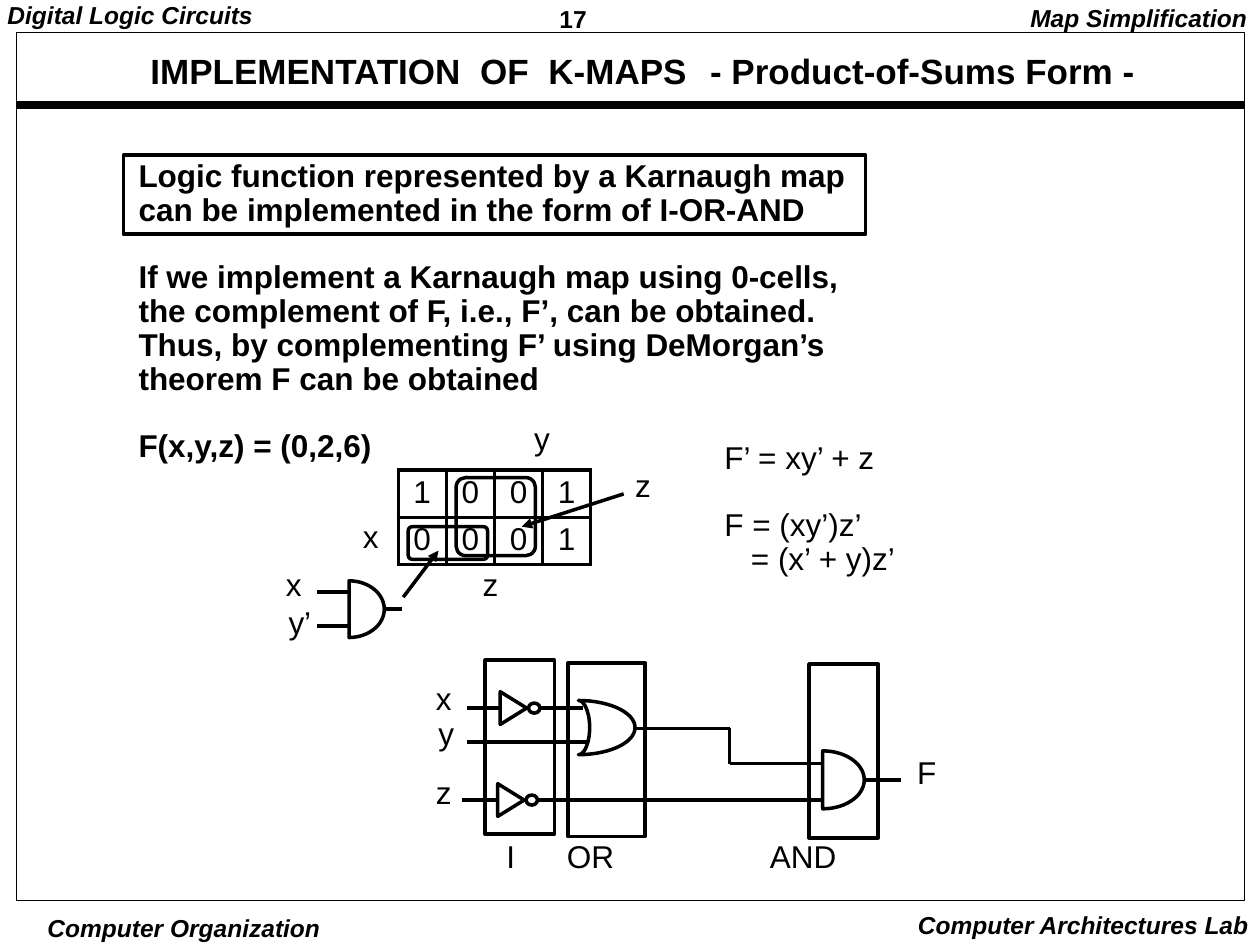
import math
from itertools import pairwise

from lxml import etree
from pptx import Presentation
from pptx import util as u
from pptx.dml.color import RGBColor
from pptx.enum import shapes, text
from pptx.oxml import ns

BLACK = RGBColor(0, 0, 0)
FONT = "Arial"
CELL = u.Inches(0.1)  # the page is a grid of 100 columns by 75 rows
LEFT, CENTER, RIGHT = text.PP_ALIGN.LEFT, text.PP_ALIGN.CENTER, text.PP_ALIGN.RIGHT


def grid(*values):
    return [u.Emu(round(value * CELL)) for value in values]


def add_xml(parent, tag, **attributes):
    return etree.SubElement(parent, ns.qn(tag), attributes)


# Text helpers
def set_font(font, size, bold=False, italic=False):
    font.name, font.size = FONT, u.Pt(size)
    font.bold, font.italic = bold, italic
    font.color.rgb = BLACK


def clear_frame(frame):
    frame.word_wrap = True
    frame.auto_size = text.MSO_AUTO_SIZE.NONE
    frame.vertical_anchor = text.MSO_ANCHOR.TOP
    frame.margin_left = frame.margin_right = frame.margin_top = frame.margin_bottom = 0


def write(page, box, words, size=18, bold=False, italic=False, align=LEFT, spacing=0.9):
    frame = page.shapes.add_textbox(*grid(*box)).text_frame
    clear_frame(frame)
    frame.text = words
    for para in frame.paragraphs:
        para.alignment, para.line_spacing = align, spacing
        para.space_before = u.Pt(0)
        for span in para.runs:
            set_font(span.font, size, bold, italic)
    return frame.paragraphs


def label(page, x, y, words):
    write(page, (x, y, 3 * len(words), 2.7), words)


# Drawing helpers
def outline(shape, width=2):
    shape.shadow.inherit = False
    shape.fill.background()
    shape.line.color.rgb, shape.line.width = BLACK, u.Pt(width)
    return shape


def draw(page, kind, box, width=2):
    return outline(page.shapes.add_shape(kind, *grid(*box)), width)


def wire(page, *points, width=2, arrow=False):
    for start, end in pairwise(points):
        line = page.shapes.add_connector(shapes.MSO_CONNECTOR.STRAIGHT, *grid(*start, *end))
        line.line.color.rgb, line.line.width = BLACK, u.Pt(width)
        if arrow:
            add_xml(line.line._get_or_add_ln(), "a:tailEnd", type="triangle")
        add_xml(line._element.spPr, "a:effectLst")


def arc(x, y, across, down, start=-90, end=90, steps=30):
    angles = [math.radians(start + (end - start) * i / steps) for i in range(steps + 1)]
    return [grid(x + across * math.cos(a), y + down * math.sin(a)) for a in angles]


def gate(page, points):
    builder = page.shapes.build_freeform(*points[0])
    builder.add_line_segments(points[1:], close=True)
    outline(builder.convert_to_shape())


def and_gate(page, box):
    x, y, width, height = box
    gate(page, arc(x, y + height / 2, width, height / 2))


def or_gate(page, box):
    x, y, width, height = box
    middle, half = y + height / 2, height / 2
    gate(page, arc(x, middle, width, half) + arc(x, middle, width / 5, half, 90, -90))


def inverter(page, x, y):
    group = page.shapes.add_group_shape()
    triangle = draw(group, shapes.MSO_SHAPE.ISOSCELES_TRIANGLE, (x - 0.25, y - 1.05, 2.6, 2.1))
    triangle.rotation = 90
    draw(group, shapes.MSO_SHAPE.OVAL, (x + 2.25, y - 0.4, 0.9, 0.8))


# Regions of the slide
def page_frame(page, box):
    x, y, width, height = box
    draw(page, shapes.MSO_SHAPE.RECTANGLE, box, 0.5)
    wire(page, (x, y + 5.7), (x + width, y + 5.7), width=4.5)
    marks = (
        ((0.6, 0.3, 22, 2.4), "Digital Logic Circuits", True, LEFT, 0.9),
        ((44.4, 0.3, 5, 2.4), "17", False, LEFT, 1),
        ((79, 0.5, 20, 2.4), "Map Simplification", True, RIGHT, 0.9),
        ((3.6, 72.5, 22, 2.4), "Computer Organization", True, CENTER, 1),
        ((69, 72.2, 30.1, 2.4), "Computer Architectures Lab", True, RIGHT, 1),
    )
    for place, words, italic, align, spacing in marks:
        write(page, place, words, 14, True, italic, align, spacing)


def heading(page, box):
    title = page.shapes.title
    title.left, title.top, title.width, title.height = grid(*box)
    clear_frame(title.text_frame)
    para = title.text_frame.paragraphs[0]
    para.alignment, para.line_spacing = CENTER, 0.9
    # Spaces carry extra tracking, in hundredths of a point
    pieces = (("IMPLEMENTATION", 0), (" ", 556), ("OF", 0), (" ", 556), ("K-MAPS", 0),
              (" ", 780), ("- Product-of-Sums Form -", 0))
    for words, tracking in pieces:
        span = para.add_run()
        span.text = words
        set_font(span.font, 20, True)
        if tracking:
            span.font._element.set("spc", str(tracking))


def explanation(page, box):
    x, y, width, height = box
    lines = (
        "Logic function represented by a Karnaugh map",
        "can be implemented in the form of I-OR-AND",
        "If we implement a Karnaugh map using 0-cells,",
        "the complement of F, i.e., F’, can be obtained.",
        "Thus, by complementing F’ using DeMorgan’s",
        "theorem F can be obtained",
        "F(x,y,z) = (0,2,6)",
    )
    paras = write(page, (x + 1.2, y + 0.4, width, height), "\n".join(lines), bold=True)
    for first in (2, 6):
        paras[first].space_before = u.Pt(19)
    draw(page, shapes.MSO_SHAPE.RECTANGLE, (x, y, 58.9, 6.3))


def equations(page, box):
    paras = write(page, box, "F’ = xy’ + z\nF = (xy’)z’\n= (x’ + y)z’")
    paras[1].space_before = u.Pt(19)
    paras[2]._p.get_or_add_pPr().set("marL", str(u.Inches(0.21)))


def karnaugh_map(page, box):
    x, y, width, height = box
    table = page.shapes.add_table(2, 4, *grid(*box)).table
    table.first_row = table.horz_banding = False
    for cell, value in zip(table.iter_cells(), "10010001"):
        cell.margin_left = cell.margin_right = cell.margin_top = cell.margin_bottom = 0
        cell.vertical_anchor = text.MSO_ANCHOR.MIDDLE
        cell.text = value
        para = cell.text_frame.paragraphs[0]
        para.alignment, para.line_spacing = CENTER, 0.9
        set_font(para.runs[0].font, 18)
        for side in "LRTB":
            border = add_xml(cell._tc.get_or_add_tcPr(), f"a:ln{side}", w=str(u.Pt(2)))
            fill = add_xml(border, "a:solidFill")
            add_xml(fill, "a:srgbClr", val=str(BLACK))
        cell.fill.background()

    # Loops around the groups of zeros
    for loop in ((4.6, 0.6, 6.3, 6.2), (0.8, 4.5, 6.3, 2.6)):
        place = (x + loop[0], y + loop[1], *loop[2:])
        draw(page, shapes.MSO_SHAPE.ROUNDED_RECTANGLE, place).adjustments[0] = 0.125

    for dx, dy, words in ((-2.8, 4.1, "x"), (10.8, -3.7, "y"), (6.7, 7.9, "z"), (18.8, 0, "z")):
        label(page, x + dx, y + dy, words)
    wire(page, (x + 17.9, y + 1.9), (x + 9.8, y + 4.5), arrow=True)
    wire(page, (x + 0.4, y + 10.1), (x + 3.2, y + 6.4), arrow=True)


def product_term(page, box):
    x, y, width, height = box
    and_gate(page, box)
    for dy, label_x, label_y, words in ((0.9, -5, -0.9, "x"), (3.6, -4.8, 2.1, "y’")):
        wire(page, (x - 2.5, y + dy), (x + 0.1, y + dy))
        label(page, x + label_x, y + label_y, words)
    wire(page, (x + width, y + height / 2), (x + width + 1.4, y + height / 2))


def circuit(page, box):
    x, y, width, height = box
    x_row, y_row, z_row = y + 3.8, y + 6.5, y + 11.1
    # Stage frames with their names beneath
    stages = ((1.8, 0, 5.5, 3.5, "I"), (8.4, 0.2, 6.1, 8.3, "OR"), (27.5, 0.3, 5.5, 24.4, "AND"))
    for dx, dy, wide, name_x, name in stages:
        draw(page, shapes.MSO_SHAPE.RECTANGLE, (x + dx, y + dy, wide, height))
        label(page, x + name_x, y + 14.4, name)
    # Gates
    inverter(page, x + 3, x_row)
    inverter(page, x + 2.8, z_row)
    or_gate(page, (x + 9.2, y + 3.2, 4.5, 4.3))
    and_gate(page, (x + 28.6, y + 7.2, 3.3, 4.6))
    # Wires
    wire(page, (x + 0.4, x_row), (x + 3, x_row))
    wire(page, (x + 6.1, x_row), (x + 9.6, x_row))
    wire(page, (x + 0.4, y_row), (x + 9.9, y_row))
    wire(page, (x, z_row), (x + 2.8, z_row))
    wire(page, (x + 5.9, z_row), (x + 28.6, z_row))
    wire(page, (x + 13.7, y + 5.4), (x + 21.2, y + 5.4), (x + 21.2, y + 8.2), (x + 28.6, y + 8.2))
    wire(page, (x + 31.9, y + 9.5), (x + width, y + 9.5))
    for dx, dy, words in ((-2.1, 1.8, "x"), (-1.9, 4.6, "y"), (-2.1, 9.3, "z"), (36.1, 7.7, "F")):
        label(page, x + dx, y + dy, words)


def main():
    deck = Presentation()
    deck.slide_width, deck.slide_height = grid(100, 75)
    page = deck.slides.add_slide(deck.slide_layouts[5])
    page_frame(page, (1.3, 2.6, 97.5, 68.9))
    heading(page, (5.1, 4.3, 91.8, 3))
    explanation(page, (9.8, 12.3, 60, 25))
    equations(page, (57.5, 35.1, 16, 13))
    karnaugh_map(page, (31.6, 37.3, 15.3, 7.5))
    product_term(page, (27.7, 46.1, 2.8, 4.5))
    circuit(page, (36.7, 52.4, 34.8, 13.8))
    deck.save("out.pptx")


if __name__ == "__main__":
    main()
